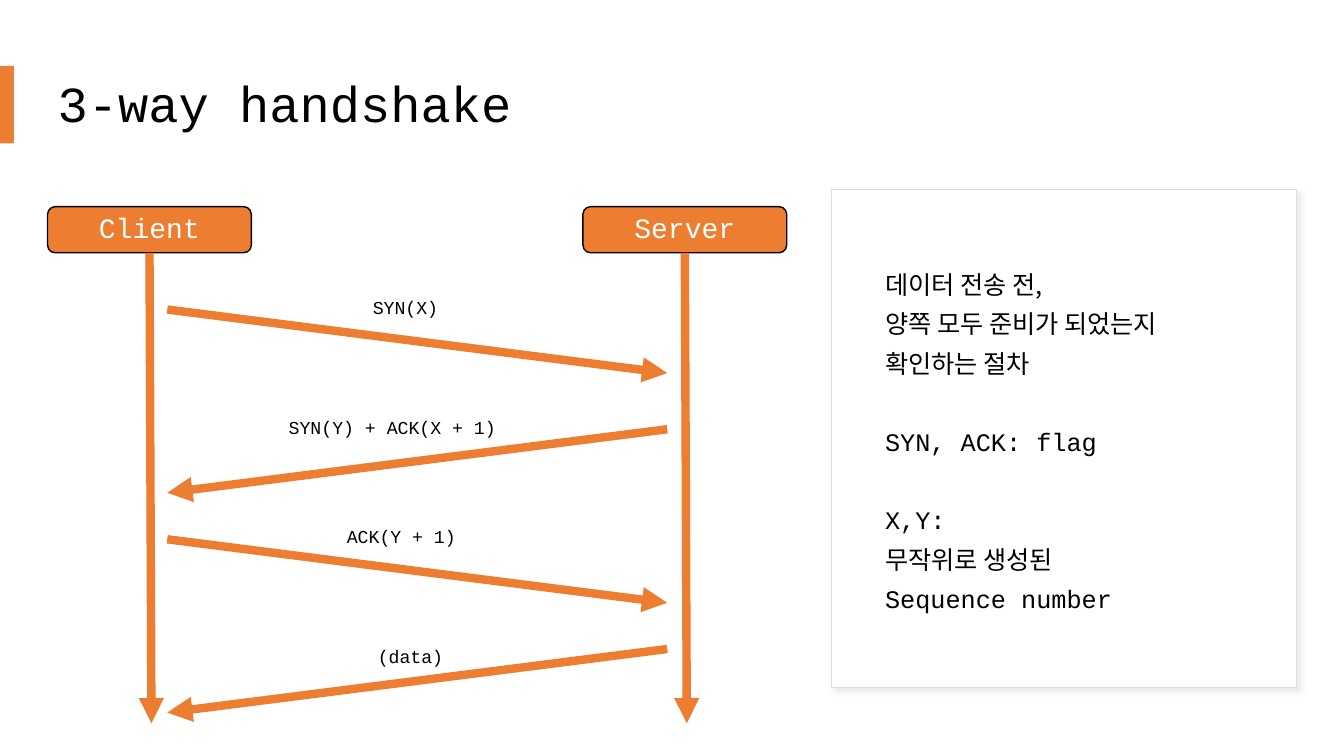
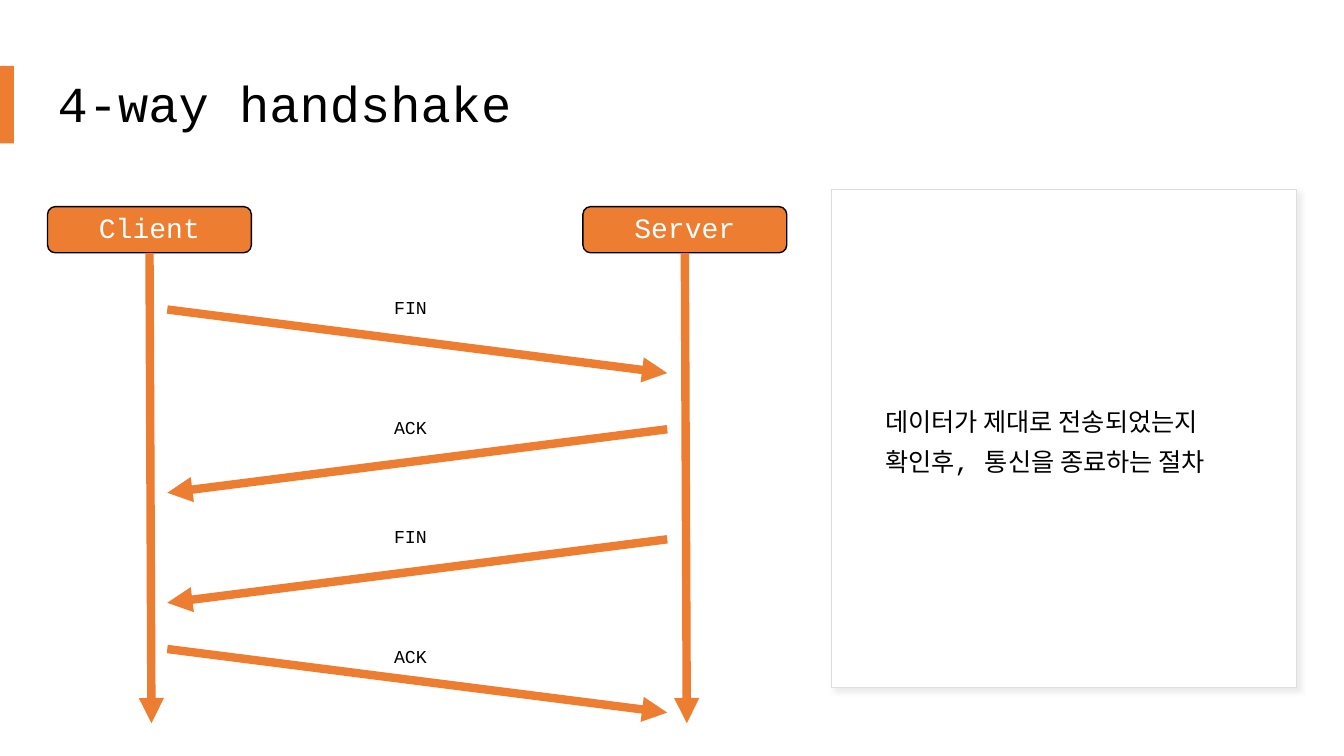
from dataclasses import dataclass

from lxml.etree import SubElement
from pptx import Presentation
from pptx.dml.color import RGBColor
from pptx.enum.shapes import MSO_CONNECTOR, MSO_SHAPE
from pptx.enum.text import MSO_ANCHOR, MSO_AUTO_SIZE, PP_ALIGN
from pptx.oxml.ns import qn
from pptx.util import Pt

COLORS = {
    "accent": "ED7D31",
    "text": "000000",
    "paper": "FFFFFF",
    "panel_line": "DEDEDE",
    "shadow": "D9D9D9",
}
MONO = "Courier New"
KOREAN = "Noto Sans CJK KR"
LEFT, CENTER = PP_ALIGN.LEFT, PP_ALIGN.CENTER


@dataclass
class Box:
    left: float
    top: float
    width: float
    height: float

    def inside(self, left, top, width, height):
        return Box(self.left + left, self.top + top, width, height)

    def lengths(self):
        return Pt(self.left), Pt(self.top), Pt(self.width), Pt(self.height)


TITLE = Box(34, 32.4, 882, 87)
BAR = Box(0, 47, 10, 55.5)
DIAGRAM = Box(34, 147.6, 528, 369)
PANEL = Box(594, 135.4, 332, 355.6)

MESSAGE_ROWS = [(73.5, 62, 68), (159, 148.3, 188), (237.6, 226, 105), (316, 311.8, 105)]

SLIDES = [
    {
        "title": "3-way handshake",
        "messages": [
            ("SYN(X)", True, LEFT),
            ("SYN(Y) + ACK(X + 1)", False, LEFT),
            ("ACK(Y + 1)", True, LEFT),
            ("(data)", False, CENTER),
        ],
        "notes": [
            [("데이터 전송 전,", KOREAN), ("양쪽 모두 준비가 되었는지", KOREAN), ("확인하는 절차", KOREAN)],
            [("SYN, ACK: flag", MONO)],
            [("X,Y:", MONO), ("무작위로 생성된", KOREAN), ("Sequence number", MONO)],
        ],
    },
    {
        "title": "4-way handshake",
        "messages": [
            ("FIN", True, CENTER),
            ("ACK", False, CENTER),
            ("FIN", False, CENTER),
            ("ACK", True, CENTER),
        ],
        "notes": [
            [("데이터가 제대로 전송되었는지", MONO), ("확인후, 통신을 종료하는 절차", MONO)],
        ],
    },
]


def color(name):
    return RGBColor.from_string(COLORS[name])


def format_paragraph(paragraph, size, font=MONO, ink="text", align=LEFT, spacing=0.9, after=6):
    paragraph.alignment = align
    paragraph.line_spacing = spacing
    paragraph.space_before = Pt(0)
    paragraph.space_after = Pt(after)
    for run in paragraph.runs:
        run.font.size = Pt(size)
        run.font.name = font
        run.font.color.rgb = color(ink)
        SubElement(run._r.get_or_add_rPr(), qn("a:ea"), typeface=KOREAN)


def place(shape, box):
    shape.left, shape.top, shape.width, shape.height = box.lengths()


def add_block(slide, kind, box, fill, line=None, width=1):
    shape = slide.shapes.add_shape(kind, *box.lengths())
    shape.shadow.inherit = False
    shape.fill.solid()
    shape.fill.fore_color.rgb = color(fill)
    if line:
        shape.line.color.rgb = color(line)
        shape.line.width = Pt(width)
    else:
        shape.line.fill.background()
    return shape


def add_arrow(slide, start, end):
    arrow = slide.shapes.add_connector(
        MSO_CONNECTOR.STRAIGHT, *(Pt(value) for value in (*start, *end))
    )
    arrow.line.color.rgb = color("accent")
    arrow.line.width = Pt(6)
    properties = arrow._element.spPr
    SubElement(properties.find(qn("a:ln")), qn("a:tailEnd"), type="triangle")
    SubElement(properties, qn("a:effectLst"))
    return arrow


def add_panel_shadow(panel):
    effects = panel._element.spPr.find(qn("a:effectLst"))
    shadow = SubElement(
        effects, qn("a:outerShdw"), blurRad=str(Pt(4)), dist=str(Pt(3)),
        dir="2700000", algn="tl", rotWithShape="0",
    )
    tint = SubElement(shadow, qn("a:srgbClr"), val=COLORS["shadow"])
    SubElement(tint, qn("a:alpha"), val="50000")


def add_heading(slide, box, text):
    title = slide.shapes.title
    place(title, box)
    frame = title.text_frame
    frame.text = text
    frame.auto_size = MSO_AUTO_SIZE.NONE
    frame.vertical_anchor = MSO_ANCHOR.MIDDLE
    format_paragraph(frame.paragraphs[0], 36, after=0)
    add_block(slide, MSO_SHAPE.RECTANGLE, BAR, "accent")


def add_notes_panel(slide, box, groups):
    panel = add_block(slide, MSO_SHAPE.RECTANGLE, box, "paper", "panel_line", 0.75)
    add_panel_shadow(panel)
    body = slide.placeholders[1]
    panel._element.addnext(body._element)
    place(body, box.inside(31, 23.7, 272, 312))
    frame = body.text_frame
    frame.auto_size = MSO_AUTO_SIZE.NONE
    frame.word_wrap = True
    frame.vertical_anchor = MSO_ANCHOR.MIDDLE
    lines = [
        (text, font, 34 if line is group[-1] and group is not groups[-1] else 6)
        for group in groups for line in group for text, font in [line]
    ]
    frame.text = "\n".join(text for text, _, _ in lines)
    for paragraph, (_, font, after) in zip(frame.paragraphs, lines):
        format_paragraph(paragraph, 18, font, spacing=Pt(22), after=after)
        properties = paragraph._p.get_or_add_pPr()
        properties.set("marL", "0")
        properties.set("indent", "0")
        SubElement(properties, qn("a:buNone"))


def add_lifeline(slide, box, name):
    head = add_block(slide, MSO_SHAPE.ROUNDED_RECTANGLE,
                     box.inside(0, 0, box.width, 33), "accent", "text")
    frame = head.text_frame
    frame.text = name
    frame.vertical_anchor = MSO_ANCHOR.MIDDLE
    format_paragraph(frame.paragraphs[0], 20, ink="paper", align=CENTER)
    middle = box.left + box.width / 2
    arrow = add_arrow(slide, (middle, box.top + 33), (middle + 1.4, box.top + box.height))
    arrow.begin_connect(head, 2)


def add_label(slide, box, text, align):
    label = slide.shapes.add_textbox(*box.lengths())
    frame = label.text_frame
    frame.word_wrap = False
    frame.text = text
    format_paragraph(frame.paragraphs[0], 13, align=align)


def add_sequence(slide, box, messages):
    head_width = 145.6
    for name, left in (("Client", 0), ("Server", box.width - head_width)):
        add_lifeline(slide, box.inside(left, 0, head_width, box.height), name)
    client, server = box.left + 85.5, box.left + 442.6
    center = 259.2
    for (text, to_server, align), (top, label_top, width) in zip(messages, MESSAGE_ROWS):
        start, end = (client, server) if to_server else (server, client)
        add_arrow(slide, (start, box.top + top), (end, box.top + top + 45.4))
        add_label(slide, box.inside(center - width / 2, label_top, width, 24), text, align)


def add_handshake_slide(presentation, content):
    slide = presentation.slides.add_slide(presentation.slide_layouts[1])
    add_heading(slide, TITLE, content["title"])
    add_notes_panel(slide, PANEL, content["notes"])
    add_sequence(slide, DIAGRAM, content["messages"])


def main():
    presentation = Presentation()
    presentation.slide_width = Pt(960)
    presentation.slide_height = Pt(540)
    for content in SLIDES:
        add_handshake_slide(presentation, content)
    presentation.save("out.pptx")


if __name__ == "__main__":
    main()
